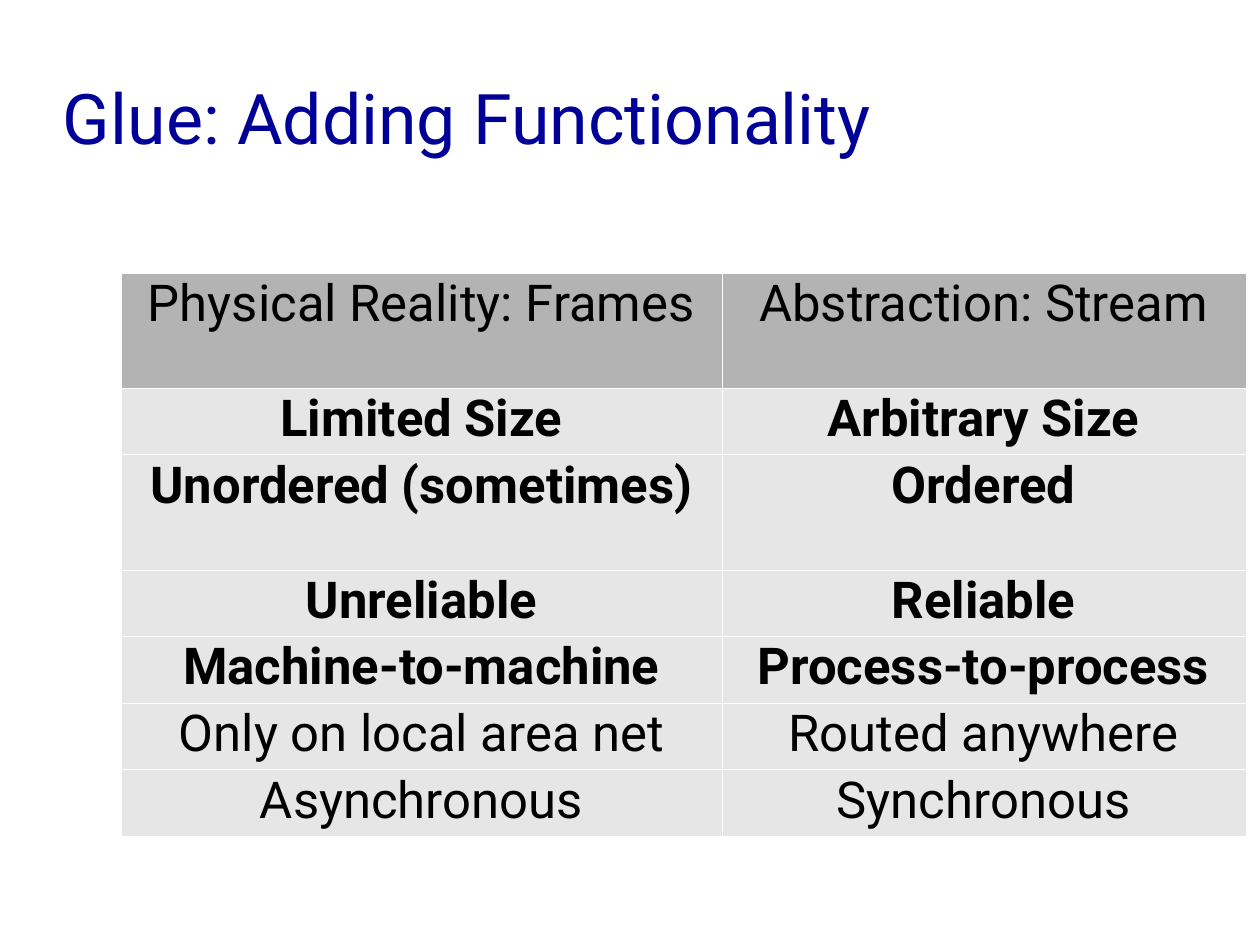
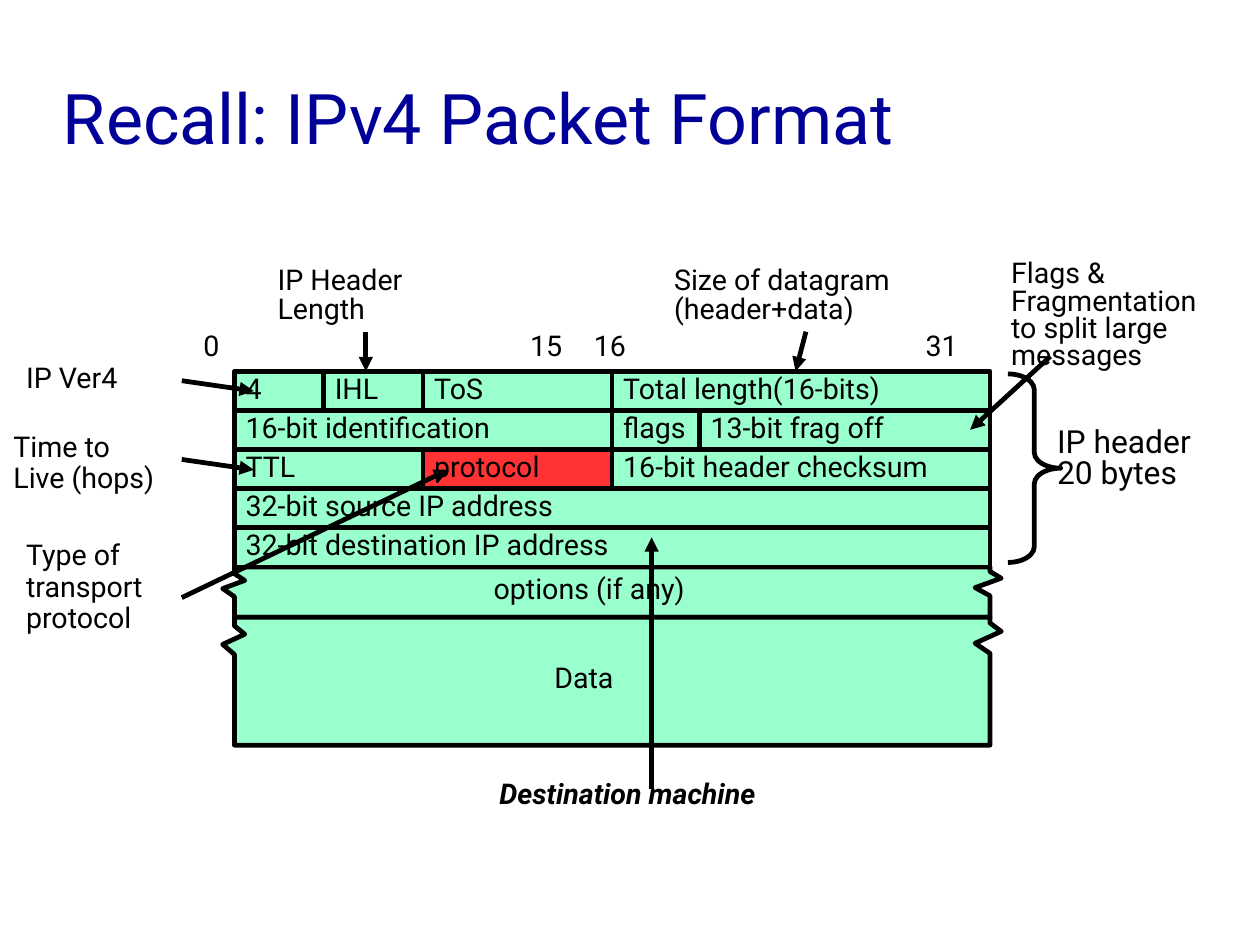
"""Build two networking slides: stream abstraction and IPv4 packet format."""
from lxml import etree
from pptx import Presentation
from pptx.dml.color import RGBColor
from pptx.enum import shapes, text
from pptx.oxml import ns
from pptx.util import Cm, Pt

NAVY = RGBColor(0x00, 0x00, 0x99)
BLACK = RGBColor(0x00, 0x00, 0x00)
WHITE = RGBColor(0xFF, 0xFF, 0xFF)
GRAY = RGBColor(0xB3, 0xB3, 0xB3)
LIGHT = RGBColor(0xE6, 0xE6, 0xE6)
MINT = RGBColor(0x99, 0xFF, 0xCC)
RED = RGBColor(0xFF, 0x33, 0x33)

LEFT, RIGHT, TOP = 5.21, 22.0, 8.25
ROW = 0.87
RIGHT_TEAR = ((0, 0.64), (-0.33, 0.46), (0.25, 0.25), (0, 0.1))
LEFT_TEAR = ((0, 0.15), (0.23, 0.3), (-0.26, 0.48), (0, 0.66))


class Deck:
    """Holds the deck style and the current slide."""

    font = "Roboto"
    line_width = Pt(3)

    def __init__(self):
        self.prs = Presentation()
        self.prs.slide_width, self.prs.slide_height = Cm(28), Cm(21)
        self.slide = None

    def set_text(self, tf, lines, align=text.PP_ALIGN.LEFT, spacing=0.8,
                 gap=0, color=BLACK, **fmt):
        """Fill a text frame with one paragraph per line."""
        tf.word_wrap = True
        for i, line in enumerate(lines.split("\n")):
            p = tf.paragraphs[0] if i == 0 else tf.add_paragraph()
            p.alignment, p.line_spacing = align, spacing
            p.space_before = Pt(gap if i else 0)
            r = p.add_run()
            r.text = line
            for key, value in {"name": self.font, "size": Pt(18), **fmt}.items():
                setattr(r.font, key, value)
            r.font.color.rgb = color

    def add_slide(self, title):
        """Start a slide with its title."""
        self.slide = self.prs.slides.add_slide(self.prs.slide_layouts[5])
        sp = self.slide.shapes.title
        sp.left, sp.top, sp.width, sp.height = Cm(1.4), Cm(0.85), Cm(25.2), Cm(3.5)
        tf = sp.text_frame
        for key in ("left", "top", "right", "bottom"):
            setattr(tf, f"margin_{key}", 0)
        tf.auto_size = text.MSO_AUTO_SIZE.NONE
        tf.vertical_anchor = text.MSO_ANCHOR.MIDDLE
        self.set_text(tf, title, spacing=1.0, color=NAVY, size=Pt(44))

    def style(self, sp, fill=None):
        """Give a shape the black outline and an optional fill."""
        sp.shadow.inherit = False
        if fill is None:
            sp.fill.background()
        else:
            sp.fill.solid()
            sp.fill.fore_color.rgb = fill
        sp.line.color.rgb, sp.line.width = BLACK, self.line_width

    def cell_borders(self, cell):
        """Draw thin white lines around a table cell."""
        pr = cell._tc.get_or_add_tcPr()
        for i, side in enumerate(("lnL", "lnR", "lnT", "lnB")):
            ln = etree.Element(ns.qn(f"a:{side}"), w="762")
            fill = etree.SubElement(ln, ns.qn("a:solidFill"))
            etree.SubElement(fill, ns.qn("a:srgbClr"), val=str(WHITE))
            pr.insert(i, ln)

    def table(self, left, top, widths, heights, rows, bold_rows):
        """Add a centred table with a darker header row."""
        tbl = self.slide.shapes.add_table(
            len(rows), len(widths), Cm(left), Cm(top),
            Cm(sum(widths)), Cm(sum(heights))).table
        for col, width in zip(tbl.columns, widths):
            col.width = Cm(width)
        for i, (row, height, values) in enumerate(zip(tbl.rows, heights, rows)):
            row.height = Cm(height)
            for cell, value in zip(row.cells, values):
                cell.fill.solid()
                cell.fill.fore_color.rgb = LIGHT if i else GRAY
                self.cell_borders(cell)
                self.set_text(cell.text_frame, value, text.PP_ALIGN.CENTER, 0.9,
                              size=Pt(32), bold=i in bold_rows)

    def field(self, left, top, right, label, fill=MINT):
        """Add one header field of the packet."""
        sp = self.slide.shapes.add_shape(
            shapes.MSO_SHAPE.RECTANGLE, Cm(left), Cm(top), Cm(right - left), Cm(ROW))
        self.style(sp, fill)
        tf = sp.text_frame
        tf.margin_right = 0
        tf.vertical_anchor = text.MSO_ANCHOR.MIDDLE
        self.set_text(tf, label)

    def torn_band(self, top, bottom, scale):
        """Add a band whose two sides are torn near the top."""
        right, left = (
            [(x + dx, top + scale * dy) for dx, dy in tear]
            for x, tear in ((RIGHT, RIGHT_TEAR), (LEFT, LEFT_TEAR)))
        points = [(RIGHT, bottom), *right, (RIGHT, top), (LEFT, top), *left]
        builder = self.slide.shapes.build_freeform(Cm(LEFT), Cm(bottom))
        builder.add_line_segments([(Cm(x), Cm(y)) for x, y in points])
        self.style(builder.convert_to_shape(), MINT)

    def label(self, left, top, width, lines, **fmt):
        """Add a text label."""
        height = ROW * (lines.count("\n") + 1)
        sp = self.slide.shapes.add_textbox(Cm(left), Cm(top), Cm(width), Cm(height))
        self.set_text(sp.text_frame, lines, **fmt)

    def arrow(self, *ends):
        """Add an arrow from one point to another."""
        sp = self.slide.shapes.add_connector(
            shapes.MSO_CONNECTOR.STRAIGHT, *(Cm(v) for v in ends))
        sp.line.color.rgb, sp.line.width = BLACK, self.line_width
        etree.SubElement(sp.line._get_or_add_ln(), ns.qn("a:tailEnd"), type="triangle")
        etree.SubElement(sp._element.spPr, ns.qn("a:effectLst"))

    def brace(self, left, top, width, height):
        """Add a right brace."""
        sp = self.slide.shapes.add_shape(
            shapes.MSO_SHAPE.RIGHT_BRACE, Cm(left), Cm(top), Cm(width), Cm(height))
        sp.adjustments[0], sp.adjustments[1] = 0.3, 0.5
        self.style(sp)


def functionality_slide(deck):
    """Build the table of frames against streams."""
    deck.add_slide("Glue: Adding Functionality")
    rows = [
        ("Physical Reality: Frames", "Abstraction: Stream"),
        ("Limited Size", "Arbitrary Size"),
        ("Unordered (sometimes)", "Ordered"),
        ("Unreliable", "Reliable"),
        ("Machine-to-machine", "Process-to-process"),
        ("Only on local area net", "Routed anywhere"),
        ("Asynchronous", "Synchronous"),
    ]
    heights = [2.56 if i in (0, 2) else 1.48 for i in range(len(rows))]
    deck.table(2.7, 6.06, (13.34, 11.64), heights, rows, range(1, 5))


def packet_slide(deck):
    """Build the annotated packet diagram."""
    deck.add_slide("Recall: IPv4 Packet Format")
    header = [
        [(LEFT, "4"), (7.19, "IHL"), (9.4, "ToS"), (13.6, "Total length(16-bits)")],
        [(LEFT, "16-bit identification"), (13.6, "flags"), (15.54, "13-bit frag off")],
        [(LEFT, "TTL"), (9.4, "protocol"), (13.6, "16-bit header checksum")],
        [(LEFT, "32-bit source IP address")],
        [(LEFT, "32-bit destination IP address")],
    ]
    options_top = TOP + ROW * len(header)
    deck.torn_band(options_top, 13.72, 1)
    deck.torn_band(13.72, 16.56, 1.25)
    for i, row in enumerate(header):
        rights = [left for left, _ in row[1:]] + [RIGHT]
        for (left, name), right in zip(row, rights):
            deck.field(left, TOP + ROW * i, right, name,
                       RED if name == "protocol" else MINT)

    for left, bit in ((4.27, "0"), (11.53, "15"), (12.95, "16"), (20.32, "31")):
        deck.label(left, 7.32, 2.4, bit)
    for left, top, width, lines, fmt in (
        (10.72, 12.7, 5.8, "options (if any)", {}),
        (12.07, 14.68, 3.1, "Data", {}),
        (0.33, 8.03, 3.8, "IP Ver4", {}),
        (5.92, 5.84, 4.5, "IP Header\nLength", {"gap": 1.2}),
        (14.73, 5.84, 6.4, "Size of datagram\n(header+data)", {"gap": 1.2}),
        (22.22, 5.69, 5.7, "Flags &\nFragmentation\nto split large\nmessages", {}),
        (0.05, 9.55, 4.8, "Time to\nLive (hops)", {"gap": 2.4}),
        (0.33, 11.96, 4.2, "Type of\ntransport\nprotocol", {"gap": 2.4}),
        (23.24, 9.42, 4.7, "IP header\n20 bytes", {"size": Pt(20)}),
        (10.85, 17.27, 8, "Destination machine", {"bold": True, "italic": True}),
    ):
        deck.label(left, top, width, lines, **fmt)

    deck.brace(22.4, 8.31, 1.17, 4.19)
    for ends in (
        (4.04, 8.46, 5.64, 8.69),
        (8.13, 7.37, 8.13, TOP),
        (17.91, 7.37, 17.68, TOP),
        (23.34, 7.92, 21.56, 9.55),
        (4.04, 10.21, 5.64, 10.44),
        (4.04, 13.28, 9.96, 10.44),
        (14.48, 17.53, 14.48, 11.94),
    ):
        deck.arrow(*ends)


def main():
    """Build and save the deck."""
    deck = Deck()
    functionality_slide(deck)
    packet_slide(deck)
    deck.prs.save("out.pptx")


if __name__ == "__main__":
    main()
